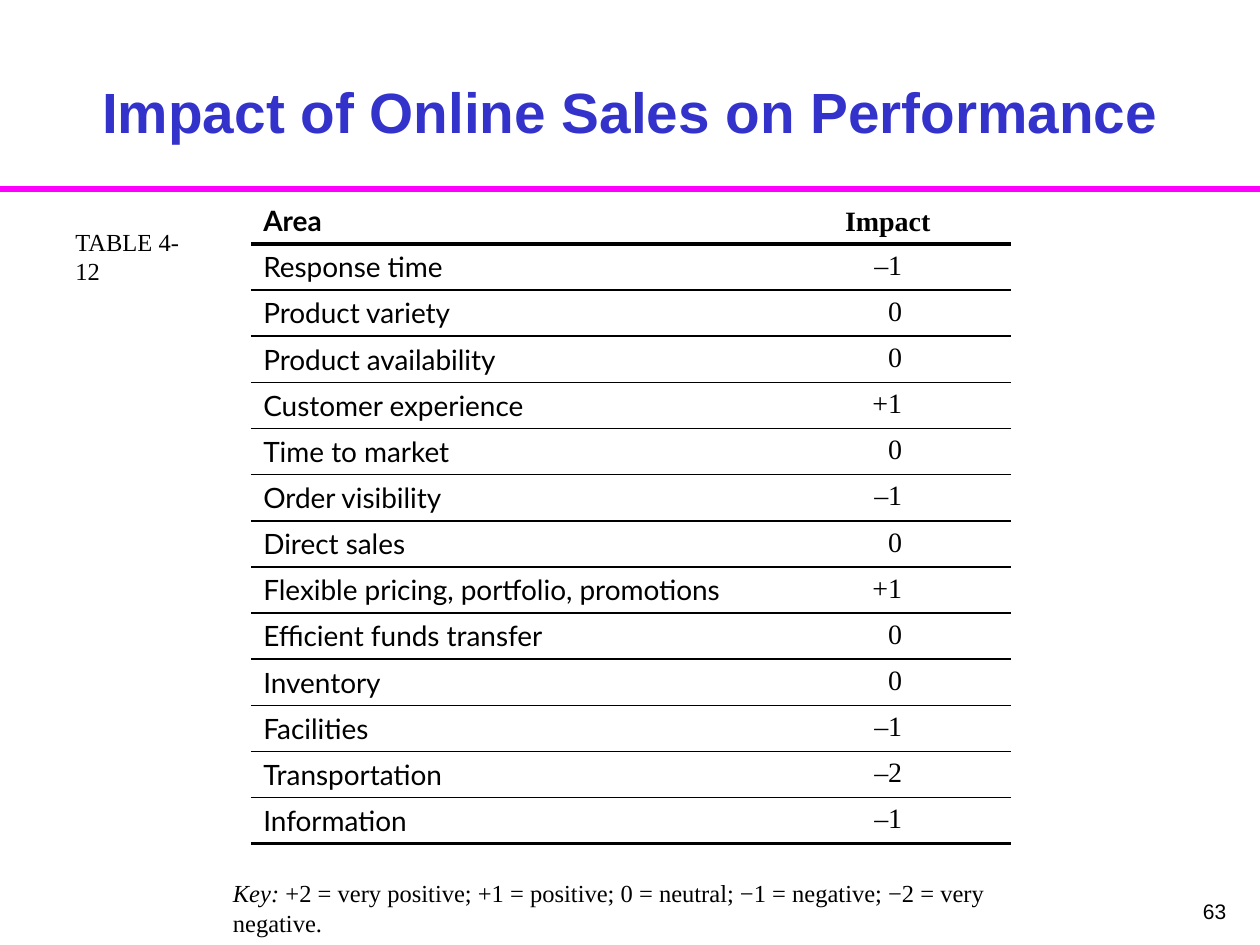
from typing import NamedTuple

from lxml import etree
from pptx import Presentation
from pptx.dml.color import RGBColor
from pptx.enum.shapes import MSO_CONNECTOR
from pptx.enum.text import MSO_ANCHOR, PP_ALIGN
from pptx.oxml.ns import qn
from pptx.util import Inches, Pt

STRAIGHT = MSO_CONNECTOR.STRAIGHT
BOTTOM, TOP = MSO_ANCHOR.BOTTOM, MSO_ANCHOR.TOP
LEFT, CENTER, RIGHT = PP_ALIGN.LEFT, PP_ALIGN.CENTER, PP_ALIGN.RIGHT
COLORS = {"title": "3333CC", "rule": "FF00FF", "text": "000000"}
SERIF, SANS, BODY = "Times New Roman", "Arial", "Lato"
THIN, THICK = 1, 2.25


class Run(NamedTuple):
    """A stretch of text in one format."""
    text: str
    size: float
    font: str = SERIF
    color: str = "text"
    bold: bool = False
    italic: bool = False


class Label(NamedTuple):
    """A text box: left, top, width, height in inches, and its runs."""
    box: tuple[float, float, float, float]
    runs: list[Run]
    align: PP_ALIGN = LEFT


class Impact(NamedTuple):
    """A table row: an area and its score."""
    area: str
    score: str


IMPACTS = [
    Impact("Response time", "–1"),
    Impact("Product variety", "0"),
    Impact("Product availability", "0"),
    Impact("Customer experience", "+1"),
    Impact("Time to market", "0"),
    Impact("Order visibility", "–1"),
    Impact("Direct sales", "0"),
    Impact("Flexible pricing, portfolio, promotions", "+1"),
    Impact("Efficient funds transfer", "0"),
    Impact("Inventory", "0"),
    Impact("Facilities", "–1"),
    Impact("Transportation", "–2"),
    Impact("Information", "–1"),
]
LABELS = [
    Label((0.5, 1.75, 1.12, 0.34), [Run("TABLE 4-12", 14)]),
    Label((1.75, 6.92, 6.82, 0.34), [
        Run("Key: ", 14, italic=True),
        Run("+2 = very positive; +1 = positive; 0 = neutral; "
            "−1 = negative; −2 = very negative.", 14),
    ]),
    Label((7.75, 7.08, 2.08, 0.42), [Run("63", 12, SANS)], RIGHT),
]


def write(tf, runs: list[Run], align: PP_ALIGN = LEFT):
    """Fill the first paragraph with runs and return it."""
    p = tf.paragraphs[0]
    p.alignment = align
    for run in runs:
        r = p.add_run()
        r.text = run.text
        r.font.size = Pt(run.size)
        r.font.name = run.font
        r.font.bold, r.font.italic = run.bold, run.italic
        r.font.color.rgb = RGBColor.from_string(COLORS[run.color])
    return p


def add_tab(p, inches: float) -> None:
    """Give a paragraph one right-aligned tab stop."""
    tabs = etree.SubElement(p._p.get_or_add_pPr(), qn("a:tabLst"))
    etree.SubElement(tabs, qn("a:tab"), pos=str(Inches(inches)), algn="r")


def set_borders(cell, top: float, bottom: float) -> None:
    """Draw horizontal borders in points; a width of 0 draws none."""
    cell.fill.background()
    tc_pr = cell._tc.get_or_add_tcPr()
    for i, (side, width) in enumerate(zip("LRTB", (0, 0, top, bottom))):
        ln = etree.Element(qn(f"a:ln{side}"), w=str(Pt(width)))
        fill = etree.SubElement(ln, qn("a:solidFill" if width else "a:noFill"))
        if width:
            etree.SubElement(fill, qn("a:srgbClr"), val=COLORS["text"])
        tc_pr.insert(i, ln)


def add_title(slide, text: str) -> None:
    """Place and format the slide title."""
    sp = slide.shapes.title
    sp.left, sp.top = Inches(0.5), Inches(0.3)
    sp.width, sp.height = Inches(9), Inches(0.9)
    sp.text_frame.vertical_anchor = BOTTOM
    write(sp.text_frame, [Run(text, 32.4, SANS, "title", True)], CENTER)


def add_rule(slide) -> None:
    """Draw the line below the title."""
    line = slide.shapes.add_connector(
        STRAIGHT, 0, Inches(1.5), Inches(10), Inches(1.5))
    line.line.color.rgb = RGBColor.from_string(COLORS["rule"])
    line.line.width = Pt(4)
    etree.SubElement(line._element.spPr, qn("a:effectLst"))


def add_impact_table(slide) -> None:
    """Build the table of areas and scores."""
    count = len(IMPACTS) + 1
    table = slide.shapes.add_table(
        count, 2, Inches(1.99), Inches(1.57), Inches(6.03), Inches(5.13)).table
    table.first_row = table.horz_banding = False
    table.columns[0].width, table.columns[1].width = Inches(4.08), Inches(1.95)
    edges = [0, THICK] + [THIN] * (count - 2) + [THICK]
    for i, row in enumerate([Impact("Area", "Impact"), *IMPACTS]):
        header = i == 0
        area, score = table.cell(i, 0), table.cell(i, 1)
        for cell in (area, score):
            cell.vertical_anchor = BOTTOM if header else TOP
            set_borders(cell, edges[i], edges[i + 1])
        write(area.text_frame, [Run(row.area, 16, BODY, bold=header)])
        if header:
            write(score.text_frame, [Run(row.score, 16, bold=True)], CENTER)
        else:
            add_tab(write(score.text_frame, [Run("\t" + row.score, 16)]), 0.99)


def add_label(slide, label: Label) -> None:
    """Add one wrapped text box."""
    sp = slide.shapes.add_textbox(*map(Inches, label.box))
    sp.text_frame.word_wrap = True
    write(sp.text_frame, label.runs, label.align)


prs = Presentation()
prs.slide_width, prs.slide_height = Inches(10), Inches(7.5)
slide = prs.slides.add_slide(prs.slide_layouts[5])
add_rule(slide)
add_title(slide, "Impact of Online Sales on Performance")
add_impact_table(slide)
for label in LABELS:
    add_label(slide, label)
prs.save("out.pptx")
